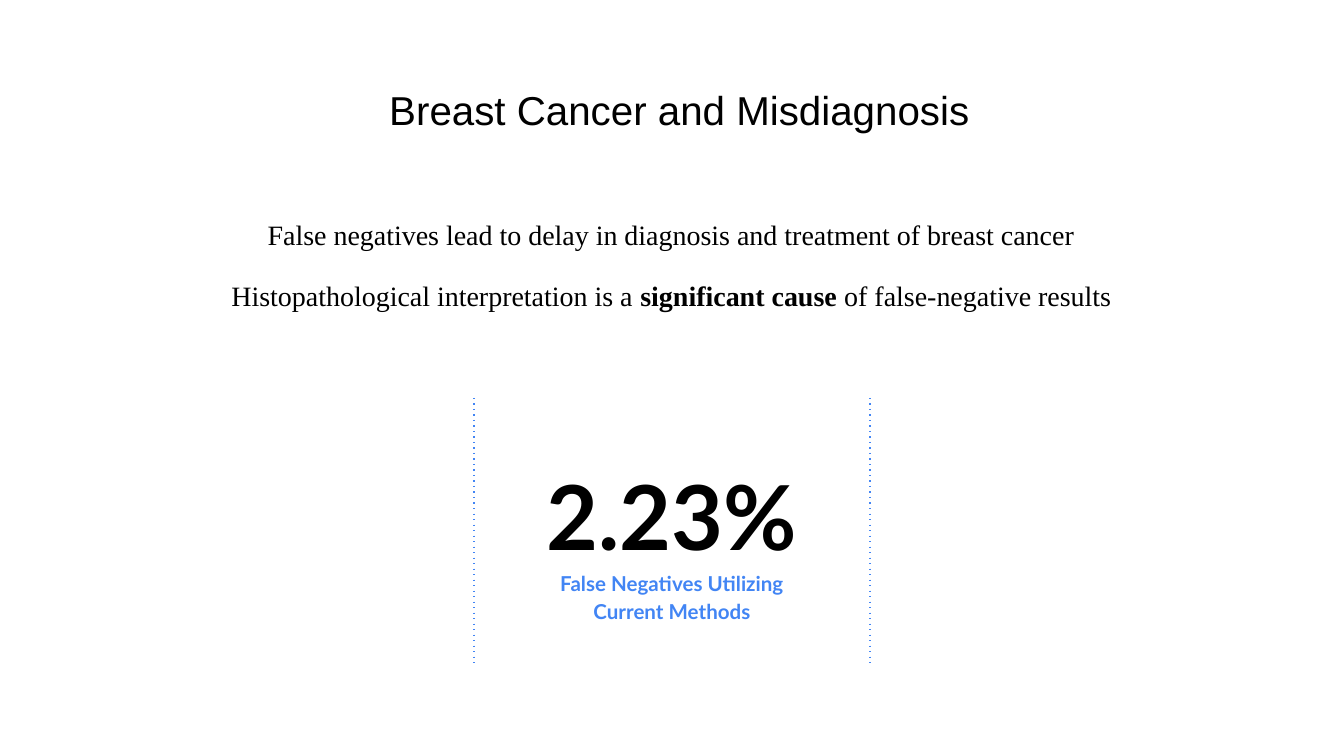
from pptx import Presentation, util as u
from pptx.dml.color import RGBColor
from pptx.enum import dml, shapes, text
from pptx.oxml.ns import qn
from lxml import etree

# Content
TITLE = "Breast Cancer and Misdiagnosis"
BODY = [
    [("False negatives lead to delay in diagnosis and treatment of breast cancer", False)],
    [("Histopathological interpretation is a ", False),
     ("significant cause ", True),
     ("of false-negative results", False)],
]
RATE = "2.23%"
LABEL = "False Negatives Utilizing Current Methods"

BLACK, BLUE, WHITE = "000000", "4285F4", "FFFFFF"
WIDE, HIGH = 1344, 756
MID = WIDE // 2


def px(n):
    return u.Emu(round(n * 914400 / 134.4))


def color(code):
    return RGBColor.from_string(code)


deck = Presentation()
deck.slide_width, deck.slide_height = px(WIDE), px(HIGH)
slide = deck.slides.add_slide(deck.slide_layouts[6])
slide.background.fill.solid()
slide.background.fill.fore_color.rgb = color(WHITE)


def write(paras, box, size, font, ink=BLACK, bold=False,
          anchor=text.MSO_ANCHOR.TOP, lead=1.15, gap=0, after=0):
    """Add a centred text box; paras is a string or lists of (text, bold)."""
    if isinstance(paras, str):
        paras = [[(paras, bold)]]
    frame = slide.shapes.add_textbox(*map(px, box)).text_frame
    frame.word_wrap = True
    frame.vertical_anchor = anchor
    frame.margin_left = frame.margin_right = u.Inches(0.1)
    frame.margin_top = frame.margin_bottom = u.Inches(0.1)
    for i, runs in enumerate(paras):
        para = frame.add_paragraph() if i else frame.paragraphs[0]
        para.alignment = text.PP_ALIGN.CENTER
        para.line_spacing = lead
        para.space_before = u.Pt(gap if i else 0)
        para.space_after = u.Pt(after)
        for words, heavy in runs:
            run = para.add_run()
            run.text = words
            run.font.name, run.font.size = font, u.Pt(size)
            run.font.bold = heavy
            run.font.color.rgb = color(ink)


# Title and body
write(TITLE, (121, 69, 1117, 78), 21.6, "Arial",
      anchor=text.MSO_ANCHOR.BOTTOM, lead=1.0)
write(BODY, (121, 199, 1101, 179), 15, "Times New Roman", gap=12)

# Dotted rules on both sides of the figure
for x in (MID - 198, MID + 198):
    rule = slide.shapes.add_connector(
        shapes.MSO_CONNECTOR.STRAIGHT, px(x), px(398), px(x), px(667))
    rule.line.color.rgb = color(BLUE)
    rule.line.width = u.Pt(0.75)
    rule.line.dash_style = dml.MSO_LINE.ROUND_DOT
    dash = rule.line._ln.find(qn("a:prstDash"))
    dash.set("val", "dot")
    etree.SubElement(rule._element.spPr, qn("a:effectLst"))

# Key figure and its label, centred on the slide
for words, top, width, height, size, ink in [
        (RATE, 431, 338, 140, 48, BLACK),
        (LABEL, 554, 304, 109, 11, BLUE)]:
    write(words, (MID - width // 2, top, width, height), size, "Lato",
          ink=ink, bold=True, after=16)

deck.save("out.pptx")
